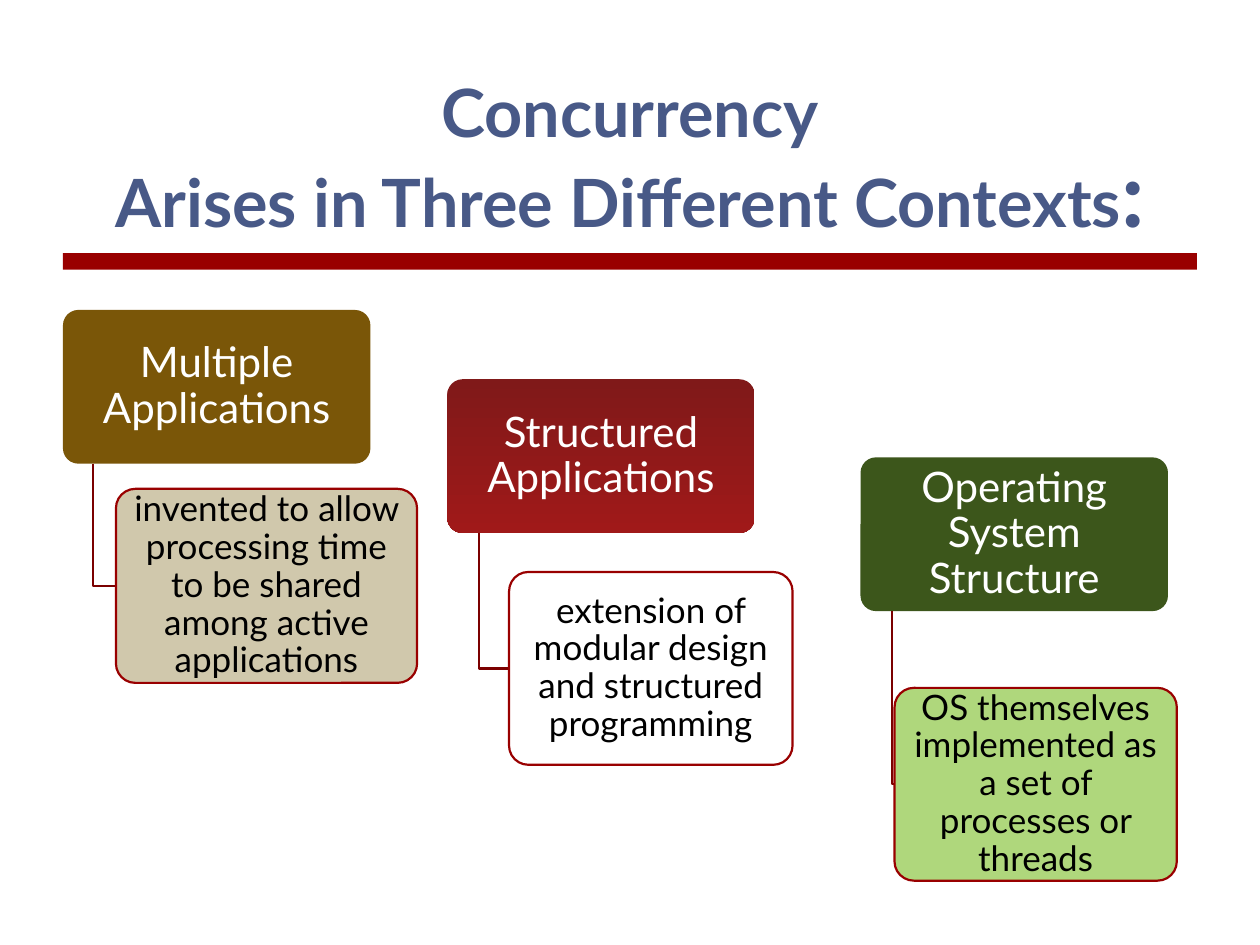
from pptx import Presentation, util as u
from pptx.dml.color import RGBColor
from pptx.enum import shapes, text

CELL = u.Inches(0.1)  # the slide is a grid of 100 columns by 75 rows
COLUMNS, ROWS = 100, 75
FONT = "Lato"

WHITE = RGBColor(0xFF, 0xFF, 0xFF)
BLACK = RGBColor(0x00, 0x00, 0x00)
TITLE_BLUE = RGBColor(0x48, 0x59, 0x87)
RED = RGBColor(0x99, 0x00, 0x00)
DARK_RED = RGBColor(0x7B, 0x00, 0x00)
BROWN = RGBColor(0x7A, 0x56, 0x08)
SAND = RGBColor(0xD0, 0xC8, 0xAC)
MAROON_TOP = RGBColor(0x80, 0x19, 0x19)
MAROON_BOTTOM = RGBColor(0xA0, 0x19, 0x19)
FOREST = RGBColor(0x3C, 0x56, 0x1B)
LIGHT_GREEN = RGBColor(0xAF, 0xD7, 0x7C)

HEADING_SIZE = (24.4, 12.2)

# heading, heading corner, heading fills, detail, detail box, detail fill, stem column
CONTEXTS = [
    ("Multiple Applications", (5, 24.6), [BROWN],
     "invented to allow processing time to be shared among active applications",
     (9.2, 38.8, 23.9, 15.4), SAND, 7.4),
    ("Structured Applications", (35.5, 30.1), [MAROON_TOP, MAROON_BOTTOM],
     "extension of modular design and structured programming",
     (40.4, 45.4, 22.5, 15.3), WHITE, 38),
    ("Operating System Structure", (68.3, 36.3), [FOREST],
     "OS themselves implemented as a set of processes or threads",
     (71, 54.6, 22.4, 15.3), LIGHT_GREEN, 70.8),
]


def cells(*counts):
    return [int(count * CELL) for count in counts]


def write(frame, lines, size, color, bold=False, spacing=0.9,
          anchor=text.MSO_ANCHOR.MIDDLE, margins=(0.9, 0.7)):
    """Fill a text frame with one centred paragraph and return the paragraph."""
    frame.word_wrap = True
    frame.vertical_anchor = anchor
    side, end = cells(*margins)
    frame.margin_left = frame.margin_right = side
    frame.margin_top = frame.margin_bottom = end
    paragraph = frame.paragraphs[0]
    paragraph.alignment = text.PP_ALIGN.CENTER
    paragraph.line_spacing = spacing
    paragraph.font.name = FONT
    for index, line in enumerate(lines):
        if index:
            paragraph.add_line_break()
        add_run(paragraph, line, size, color, bold)
    return paragraph


def add_run(paragraph, words, size, color, bold):
    run = paragraph.add_run()
    run.text = words
    run.font.name = FONT
    run.font.size = u.Pt(size)
    run.font.bold = bold
    run.font.color.rgb = color


def add_box(slide, kind, box, fills, line=None):
    """Add a shape; two fills make a gradient from top to bottom."""
    shape = slide.shapes.add_shape(kind, *cells(*box))
    shape.shadow.inherit = False
    if len(fills) == 1:
        shape.fill.solid()
        shape.fill.fore_color.rgb = fills[0]
    else:
        shape.fill.gradient()
        shape.fill.gradient_angle = 270
        for stop, color in zip(shape.fill.gradient_stops, fills):
            stop.color.rgb = color
    set_line(shape, line)
    return shape


def set_line(shape, color):
    if color is None:
        shape.line.fill.background()
    else:
        shape.line.color.rgb = color
        shape.line.width = u.Pt(1.25)


def add_card(slide, box, words, size, color, fills, line=None):
    card = add_box(slide, shapes.MSO_SHAPE.ROUNDED_RECTANGLE, box, fills, line)
    card.adjustments[0] = 0.1
    write(card.text_frame, [words], size, color)


def add_elbow(slide, column, top, end_column, bottom):
    """Draw a line down from a heading and right to its detail card."""
    builder = slide.shapes.build_freeform(*cells(column, top))
    corners = [cells(column, bottom), cells(end_column, bottom)]
    builder.add_line_segments(corners, close=False)
    elbow = builder.convert_to_shape()
    elbow.shadow.inherit = False
    elbow.fill.background()
    set_line(elbow, DARK_RED)


def add_title(slide):
    box = slide.shapes.add_textbox(*cells(7.2, 5, 85.6, 14.5))
    lines = ["Concurrency", "Arises in Three Different Contexts"]
    paragraph = write(box.text_frame, lines, 38, TITLE_BLUE, bold=True,
                      spacing=u.Pt(54), anchor=text.MSO_ANCHOR.BOTTOM,
                      margins=(1, 0))
    add_run(paragraph, ":", 52, TITLE_BLUE, True)


def add_context(slide, heading, corner, fills, detail, detail_box, detail_fill, stem):
    width, height = HEADING_SIZE
    add_card(slide, (*corner, width, height), heading, 24, WHITE, fills)
    left, top, _, detail_height = detail_box
    add_elbow(slide, stem, corner[1] + height, left, top + detail_height / 2)
    add_card(slide, detail_box, detail, 20, BLACK, [detail_fill], RED)


def main():
    presentation = Presentation()
    presentation.slide_width, presentation.slide_height = cells(COLUMNS, ROWS)
    slide = presentation.slides.add_slide(presentation.slide_layouts[6])
    add_box(slide, shapes.MSO_SHAPE.RECTANGLE, (5, 20.1, 90, 1.3), [RED])
    add_title(slide)
    for context in CONTEXTS:
        add_context(slide, *context)
    presentation.save("out.pptx")


if __name__ == "__main__":
    main()
